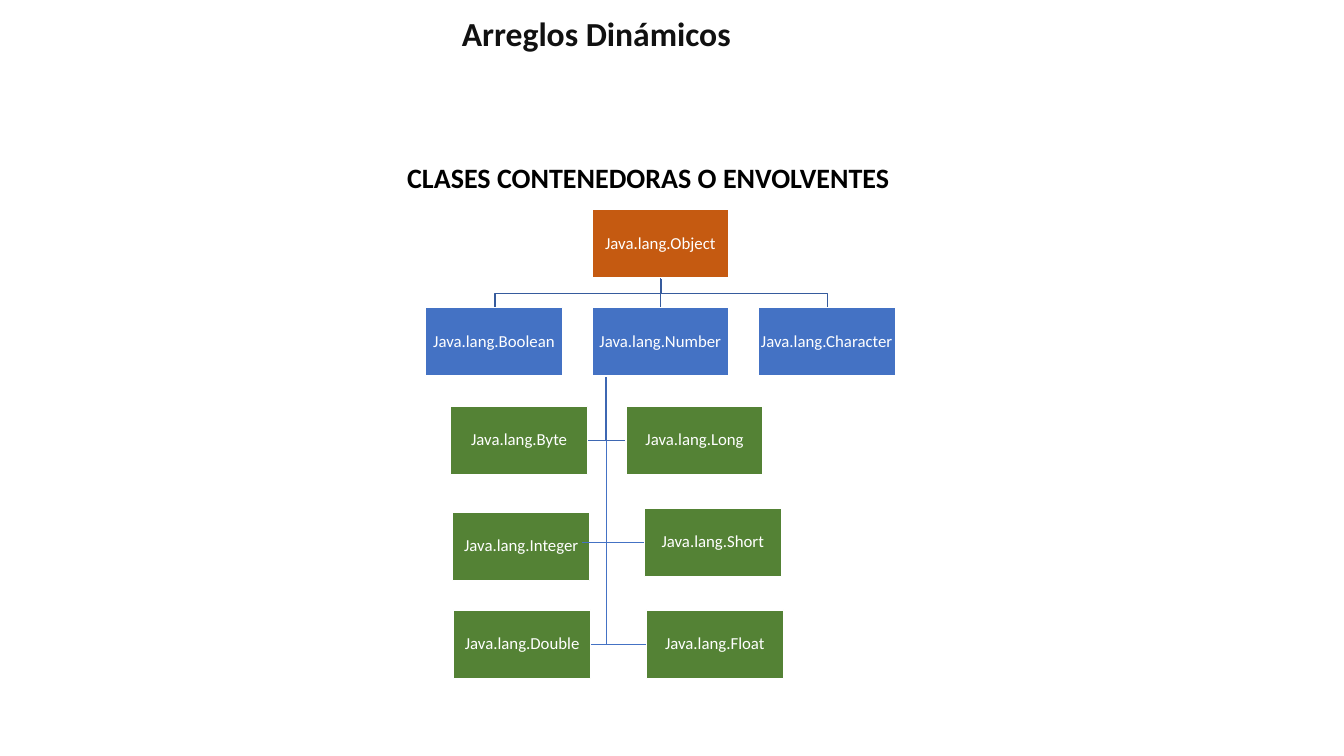
import pptx
import pptx.util
import pptx.dml.color
import pptx.enum.shapes
import pptx.enum.text
from lxml import etree

Inches, Pt = pptx.util.Inches, pptx.util.Pt
Align, Anchor = pptx.enum.text.PP_ALIGN, pptx.enum.text.MSO_ANCHOR

COLORS = {
    "title": "111111", "heading": "000000", "white": "FFFFFF",
    "root": "C55A11", "class": "4472C4", "number": "548235",
    "root_link": "365B9D", "branch_link": "3E67B2", "thin_link": "4472C4",
}
BOX_W, BOX_H = 1.36, 0.68
TOP, BOTTOM = 0, 2
LEFT, RIGHT = 1, 3


def rgb(name):
    return pptx.dml.color.RGBColor.from_string(COLORS[name])


def write(frame, text, size=12, color="white", bold=False, align=Align.CENTER,
          anchor=Anchor.MIDDLE, margin=None, spacing=None, wrap=True):
    frame.word_wrap = wrap
    frame.vertical_anchor = anchor
    if margin is not None:
        frame.margin_left = frame.margin_right = Inches(margin)
        frame.margin_top = frame.margin_bottom = Inches(margin)
    paragraph = frame.paragraphs[0]
    paragraph.alignment = align
    if spacing:
        paragraph.line_spacing = spacing
    run = paragraph.add_run()
    run.text = text
    run.font.name = "Calibri"
    run.font.size = Pt(size)
    run.font.bold = bold
    run.font.color.rgb = rgb(color)


def add_heading(slide, box, text, **style):
    label = slide.shapes.add_textbox(*[Inches(v) for v in box])
    write(label.text_frame, text, bold=True, anchor=Anchor.TOP, **style)


def add_class(slide, left, top, name, fill):
    card = slide.shapes.add_shape(
        pptx.enum.shapes.MSO_SHAPE.RECTANGLE,
        Inches(left), Inches(top), Inches(BOX_W), Inches(BOX_H))
    card.shadow.inherit = False
    card.fill.solid()
    card.fill.fore_color.rgb = rgb(fill)
    card.line.color.rgb = rgb("white")
    card.line.width = Pt(1)
    write(card.text_frame, "Java.lang." + name, margin=0.01, spacing=0.9)
    return card


def add_elbow(slide, points, color, width):
    corners = [(Inches(x), Inches(y)) for x, y in points]
    builder = slide.shapes.build_freeform(*corners[0])
    builder.add_line_segments(corners[1:], close=False)
    elbow = builder.convert_to_shape()
    elbow.shadow.inherit = False
    elbow.fill.background()
    elbow.line.color.rgb = rgb(color)
    elbow.line.width = Pt(width)


def add_line(slide, start, end, color="thin_link", width=0.5):
    line = slide.shapes.add_connector(
        pptx.enum.shapes.MSO_CONNECTOR.STRAIGHT,
        *[Inches(v) for v in (*start, *end)])
    line.line.color.rgb = rgb(color)
    line.line.width = Pt(width)
    etree.SubElement(line._element.spPr, pptx.oxml.ns.qn("a:effectLst"))
    return line


def join(slide, first, first_side, second, second_side, **style):
    line = add_line(slide, (0, 0), (0, 0), **style)
    line.begin_connect(first, first_side)
    line.end_connect(second, second_side)


def add_hierarchy(slide, left, top):
    """Class tree whose outer corner is at left, top."""
    class_step = 1.65
    class_top = top + 0.97
    root_left = left + class_step
    center = root_left + BOX_W / 2 + 0.01
    root_bottom = top + BOX_H + 0.01
    fork = root_bottom + 0.14
    spine, spine_top = left + 1.79, class_top + BOX_H + 0.01
    byte_y, short_y, double_y = top + 2.29, top + 3.3, top + 4.31

    # Elbows from Object to its outer subclasses
    for side in (-1, 1):
        end = center + side * class_step
        add_elbow(slide, [(center, root_bottom), (center, fork),
                          (end, fork), (end, class_top)], "root_link", 1)

    # Elbows from Number to its first subclasses
    for end, y, color, width in ((left + 2.17, short_y, "thin_link", 0.5),
                                 (left + 1.61, byte_y, "branch_link", 1),
                                 (left + 1.99, byte_y, "branch_link", 1)):
        add_elbow(slide, [(spine, spine_top), (spine, y), (end, y)],
                  color, width)

    # Root and direct subclasses
    root = add_class(slide, root_left, top, "Object", "root")
    subclasses = [add_class(slide, left + i * class_step, class_top, name, "class")
                  for i, name in enumerate(("Boolean", "Number", "Character"))]
    join(slide, root, BOTTOM, subclasses[1], TOP, color="root_link", width=1)

    # Numeric subclasses
    numbers = {name: add_class(slide, left + dx, top + dy, name, "number")
               for name, dx, dy in (("Byte", 0.25, 1.95), ("Long", 1.99, 1.95),
                                    ("Integer", 0.27, 3.0), ("Short", 2.17, 2.96),
                                    ("Double", 0.28, 3.97), ("Float", 2.19, 3.97))}

    # Remaining links
    join(slide, numbers["Double"], RIGHT, numbers["Float"], LEFT)
    add_line(slide, (spine, short_y), (left + 1.55, short_y))
    add_line(slide, (spine, short_y), (spine, double_y))
    dot = (left + 2.29, top + 2.91)
    add_line(slide, dot, dot)


def main():
    deck = pptx.Presentation()
    deck.slide_width, deck.slide_height = Inches(13.33), Inches(7.5)
    slide = deck.slides.add_slide(deck.slide_layouts[6])
    add_heading(slide, (3.18, 0.08, 5.47, 0.5), "Arreglos Dinámicos",
                size=24, color="title")
    add_heading(slide, (3.94, 1.54, 5.27, 0.44),
                "CLASES CONTENEDORAS O ENVOLVENTES",
                size=20, color="heading", align=Align.LEFT)
    add_hierarchy(slide, 4.22, 2.08)
    deck.save("out.pptx")


if __name__ == "__main__":
    main()
